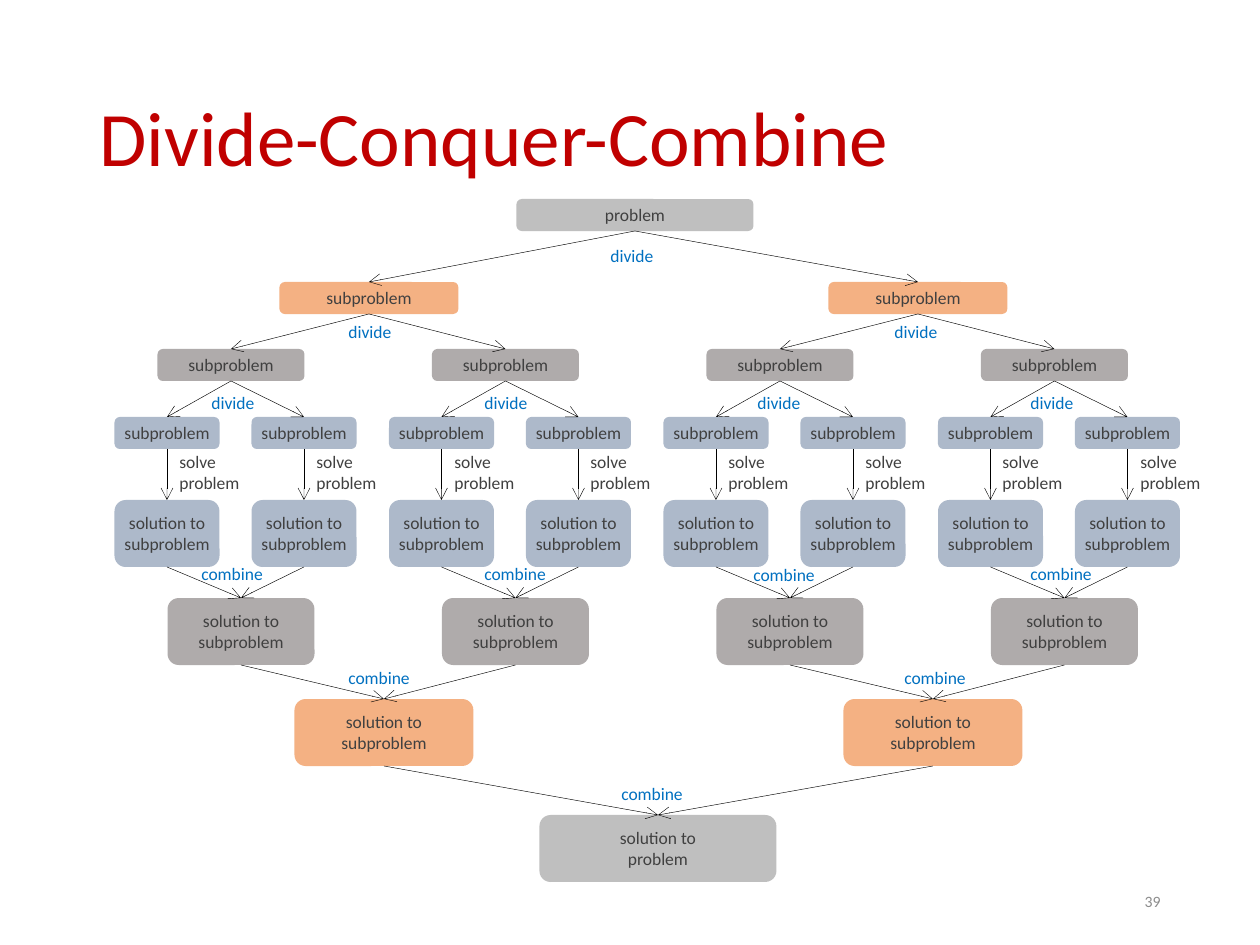
from lxml.etree import SubElement
from pptx import Presentation
from pptx.dml.color import RGBColor
from pptx.enum.shapes import MSO_CONNECTOR, MSO_SHAPE
from pptx.enum.text import MSO_ANCHOR as ANCHOR, MSO_AUTO_SIZE as AUTO, PP_ALIGN as ALIGN
from pptx.oxml.ns import qn
from pptx.util import Pt

PX = 914400 // 126
TOP, BOTTOM = 0, 2

RED = RGBColor(0xC0, 0x00, 0x00)
BLUE = RGBColor(0x00, 0x70, 0xC0)
DARK = RGBColor(0x40, 0x40, 0x40)
PALE = RGBColor(0x8C, 0x8C, 0x8C)
BLACK = RGBColor(0x00, 0x00, 0x00)
SILVER = RGBColor(0xBF, 0xBF, 0xBF)
ORANGE = RGBColor(0xF4, 0xB1, 0x83)
GREY = RGBColor(0xAF, 0xAB, 0xAB)
STEEL = RGBColor(0xAD, 0xB9, 0xCA)

TITLE = "Divide-Conquer-Combine"
PAGE = "39"
SUB = "subproblem"
SOLUTION = "solution to\nsubproblem"

SPAN = 549         # distance between the two halves of the tree
PROBLEM_H, SOLUTION_H = 32, 67

# Levels from the root to the leaves: text, first centre, top, width, fill
PROBLEMS = [
    ("problem", 635, 199, 237, SILVER),
    (SUB, 369, 282, 179, ORANGE),
    (SUB, 231, 349, 147, GREY),
    (SUB, 167, 417, 105, STEEL),
]
SOLUTIONS = [
    ("solution to\nproblem", 658, 815, 237, SILVER),
    (SOLUTION, 384, 699, 179, ORANGE),
    ("solution to subproblem", 241, 598, 147, GREY),
    (SOLUTION, 167, 500, 105, STEEL),
]

# Step labels: text, width, left and top of each
LABELS = [
    ("divide", 69, [(598, 239), (336, 315), (882, 315), (199, 386),
                    (472, 386), (745, 386), (1018, 386)]),
    ("combine", 88, [(189, 557), (472, 557), (741, 558), (1018, 557),
                     (336, 661), (892, 661), (609, 777)]),
]

prs = Presentation()
prs.slide_width, prs.slide_height = 1260 * PX, 945 * PX
slide = prs.slides.add_slide(prs.slide_layouts[6])
shapes = slide.shapes


def write(sp, text, size=10, color=DARK, align=ALIGN.LEFT, anchor=ANCHOR.TOP,
          wrap=True, inset=None, spacing=None):
    tf = sp.text_frame
    tf.word_wrap = wrap
    tf.auto_size = AUTO.NONE if wrap else AUTO.SHAPE_TO_FIT_TEXT
    tf.vertical_anchor = anchor
    if inset is not None:
        tf.margin_left = tf.margin_right = tf.margin_top = tf.margin_bottom = inset
    for i, line in enumerate(text.split("\n")):
        p = tf.paragraphs[0] if i == 0 else tf.add_paragraph()
        p.alignment = align
        p.line_spacing = spacing
        r = p.add_run()
        r.text = line
        r.font.name, r.font.size = "Calibri", Pt(size)
        r.font.color.rgb = color


def add_text(text, x, y, w, h, **fmt):
    write(shapes.add_textbox(x * PX, y * PX, w * PX, h * PX), text, **fmt)


def add_box(text, centre, y, w, h, fill):
    sp = shapes.add_shape(MSO_SHAPE.ROUNDED_RECTANGLE,
                          round((centre - w / 2) * PX), y * PX, w * PX, h * PX)
    sp.shadow.inherit = False
    sp.fill.solid()
    sp.fill.fore_color.rgb = fill
    sp.line.fill.background()
    write(sp, text, align=ALIGN.CENTER, anchor=ANCHOR.MIDDLE, inset=0)
    return sp


def add_arrow(start, end):
    c = shapes.add_connector(MSO_CONNECTOR.STRAIGHT, 0, 0, 0, 0)
    c.begin_connect(start, BOTTOM)
    c.end_connect(end, TOP)
    c.line.color.rgb = BLACK
    c.line.width = Pt(0.25)
    SubElement(c.line._get_or_add_ln(), qn("a:tailEnd"), type="arrow")
    SubElement(c._element.spPr, qn("a:effectLst"))


def centres(level, first):
    """Centres of the 2 ** level boxes; leaves sit in pairs 137 px apart."""
    if level == 3:
        return [x + dx for x in centres(2, first) for dx in (0, 137)]
    return [first + i * SPAN / max(level, 1) for i in range(2 ** level)]


def add_tree(levels, h):
    return [[add_box(text, x, y, w, h, fill) for x in centres(n, first)]
            for n, (text, first, y, w, fill) in enumerate(levels)]


# Title
add_text(TITLE, 87, 50, 1086, 183, size=44, color=RED,
         anchor=ANCHOR.MIDDLE, spacing=0.9)

# Boxes of both trees
problems = add_tree(PROBLEMS, PROBLEM_H)
solutions = add_tree(SOLUTIONS, SOLUTION_H)

# Divide and combine arrows
for n in range(3):
    for i in range(2 ** (n + 1)):
        add_arrow(problems[n][i // 2], problems[n + 1][i])
        add_arrow(solutions[n + 1][i], solutions[n][i // 2])

# Solve arrows with their labels
for problem, solution, x in zip(problems[3], solutions[3], centres(3, 167)):
    add_arrow(problem, solution)
    add_text("solve\nproblem", round(x), 445, 93, 55, wrap=False)

# Step labels
for text, w, places in LABELS:
    for x, y in places:
        add_text(text, x, y, w, 34, color=BLUE, wrap=False)

# Page number
add_text(PAGE, 890, 876, 283, 50, size=9, color=PALE,
         align=ALIGN.RIGHT, anchor=ANCHOR.MIDDLE)

prs.save("out.pptx")
